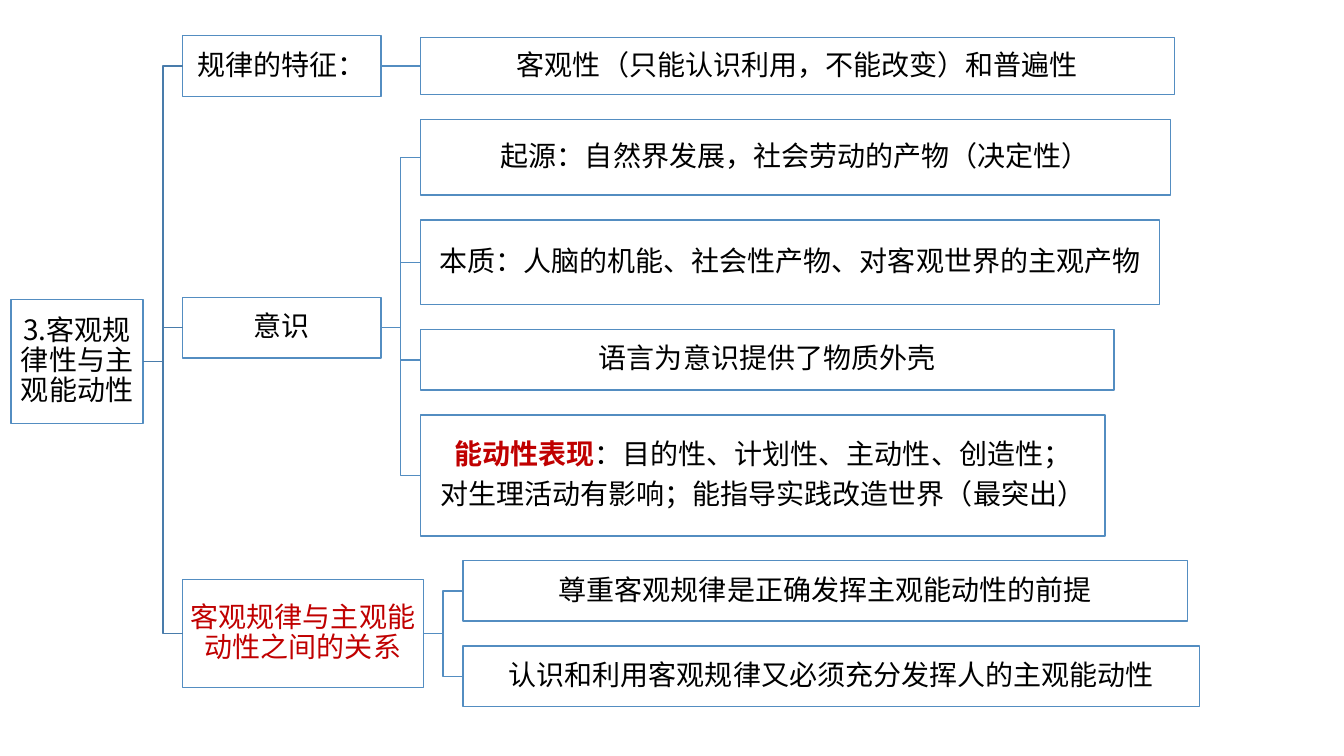
from lxml import etree
from pptx import Presentation
from pptx.dml.color import RGBColor
from pptx.enum import shapes, text
from pptx.oxml import ns
from pptx.util import Inches, Pt

BLACK = RGBColor(0x00, 0x00, 0x00)
WHITE = RGBColor(0xFF, 0xFF, 0xFF)
RED = RGBColor(0xC0, 0x00, 0x00)
BLUE = RGBColor(0x53, 0x8D, 0xC1)
DARK_BLUE = RGBColor(0x49, 0x7C, 0xAB)
FONT = "Noto Sans CJK SC"

ROOT = {"text": "3.客观规律性与主观能动性", "size": (1.31, 1.23)}
BRANCHES = [
    {"text": "规律的特征：", "size": (1.97, 0.6), "color": BLACK, "leaves": [
        ("", "客观性（只能认识利用，不能改变）和普遍性", (7.48, 0.57)),
    ]},
    {"text": "意识", "size": (1.97, 0.6), "color": BLACK, "leaves": [
        ("", "起源：自然界发展，社会劳动的产物（决定性）", (7.44, 0.75)),
        ("", "本质：人脑的机能、社会性产物、对客观世界的主观产物", (7.33, 0.84)),
        ("", "语言为意识提供了物质外壳", (6.88, 0.6)),
        ("能动性表现", "：目的性、计划性、主动性、创造性；\n"
         "对生理活动有影响；能指导实践改造世界（最突出）", (6.79, 1.2)),
    ]},
    {"text": "客观规律与主观能动性之间的关系", "size": (2.39, 1.07), "color": RED, "leaves": [
        ("", "尊重客观规律是正确发挥主观能动性的前提", (7.19, 0.6)),
        ("", "认识和利用客观规律又必须充分发挥人的主观能动性", (7.31, 0.6)),
    ]},
]
LEFT, TOP, BOTTOM = 0.11, 0.37, 7.01
COLUMN_GAP = 0.39

deck = Presentation()
deck.slide_width, deck.slide_height = Inches(13.33), Inches(7.5)
page = deck.slides.add_slide(deck.slide_layouts[6])


def add_box(words, left, middle, size, color=BLACK, lead=""):
    width, height = size
    box = page.shapes.add_shape(
        shapes.MSO_SHAPE.RECTANGLE, Inches(left), Inches(middle - height / 2),
        Inches(width), Inches(height))
    box.shadow.inherit = False
    box.fill.solid()
    box.fill.fore_color.rgb = WHITE
    box.line.color.rgb = BLUE
    box.line.width = Pt(1)
    frame = box.text_frame
    frame.word_wrap = True
    frame.vertical_anchor = text.MSO_ANCHOR.MIDDLE
    frame.margin_left = frame.margin_right = Inches(0.01)
    frame.margin_top = frame.margin_bottom = Inches(0.01)
    for index, line in enumerate(words.split("\n")):
        para = frame.add_paragraph() if index else frame.paragraphs[0]
        para.alignment = text.PP_ALIGN.CENTER
        para.line_spacing = 0.9
        para.space_after = Pt(7)
        if lead and index == 0:
            add_span(para, lead, RED, bold=True)
        add_span(para, line, color)
    return box


def add_span(para, words, color, bold=False):
    span = para.add_run()
    span.text = words
    span.font.size = Pt(20)
    span.font.name = FONT
    span.font.bold = bold
    span.font.color.rgb = color
    east_asian = etree.SubElement(span.font._element, ns.qn("a:ea"))
    east_asian.set("typeface", FONT)


def join(parent, child, color):
    level = abs(parent.top + parent.height / 2 - child.top - child.height / 2) < Inches(0.01)
    kind = shapes.MSO_CONNECTOR.STRAIGHT if level else shapes.MSO_CONNECTOR.ELBOW
    line = page.shapes.add_connector(kind, 0, 0, 0, 0)
    line.begin_connect(parent, 3)
    line.end_connect(child, 1)
    line.line.color.rgb = color
    line.line.width = Pt(1)
    etree.SubElement(line._element.spPr, ns.qn("a:effectLst"))


heights = [size[1] for branch in BRANCHES for _, _, size in branch["leaves"]]
row_gap = (BOTTOM - TOP - sum(heights)) / (len(heights) - 1)
branch_left = LEFT + ROOT["size"][0] + COLUMN_GAP

top = TOP
branch_boxes = []
for branch in BRANCHES:
    leaf_left = branch_left + branch["size"][0] + COLUMN_GAP
    first_top = top
    leaf_boxes = []
    for lead, words, size in branch["leaves"]:
        leaf_boxes.append(add_box(words, leaf_left, top + size[1] / 2, size, lead=lead))
        top += size[1] + row_gap
    middle = (first_top + top - row_gap) / 2
    branch_box = add_box(branch["text"], branch_left, middle, branch["size"], branch["color"])
    for leaf_box in leaf_boxes:
        join(branch_box, leaf_box, BLUE)
    branch_boxes.append(branch_box)

last = branch_boxes[-1]
root_middle = (branch_boxes[0].top + last.top + last.height) / 2 / Inches(1)
root_box = add_box(ROOT["text"], LEFT, root_middle, ROOT["size"])
for branch_box in branch_boxes:
    join(root_box, branch_box, DARK_BLUE)

deck.save("out.pptx")
